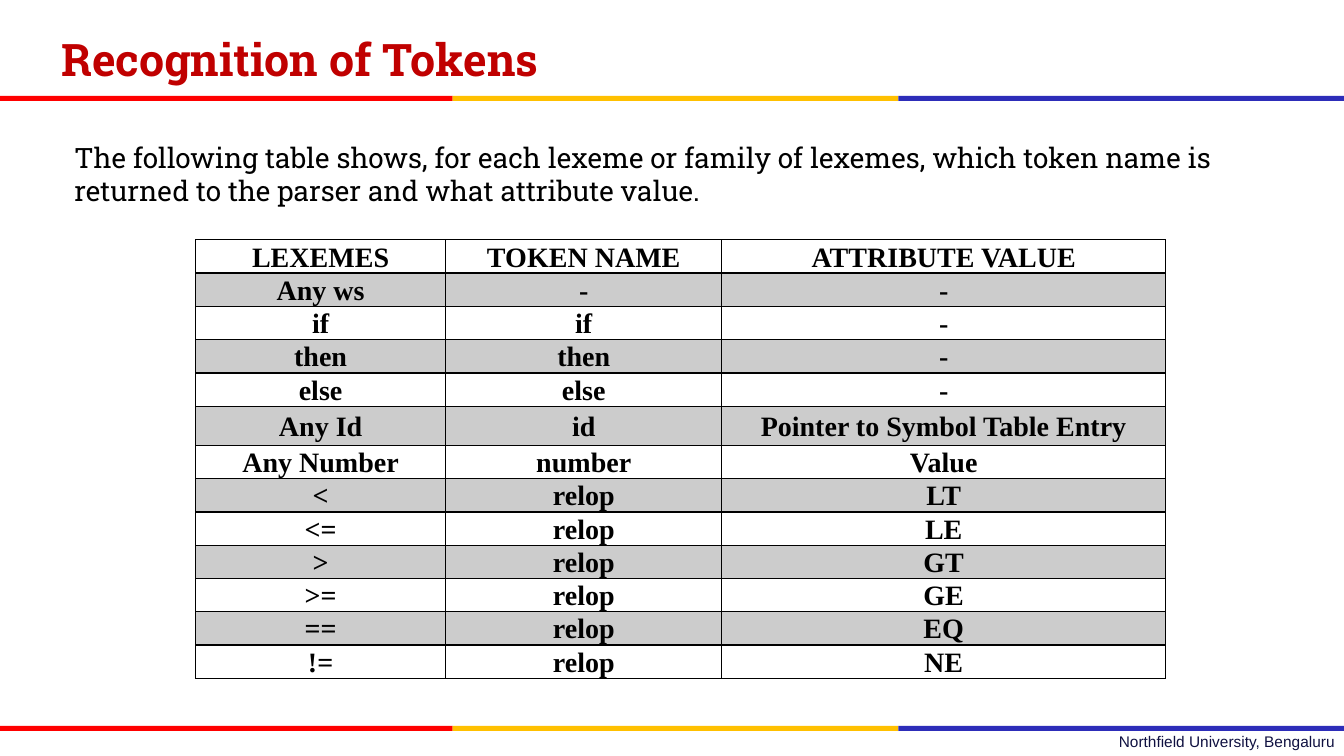
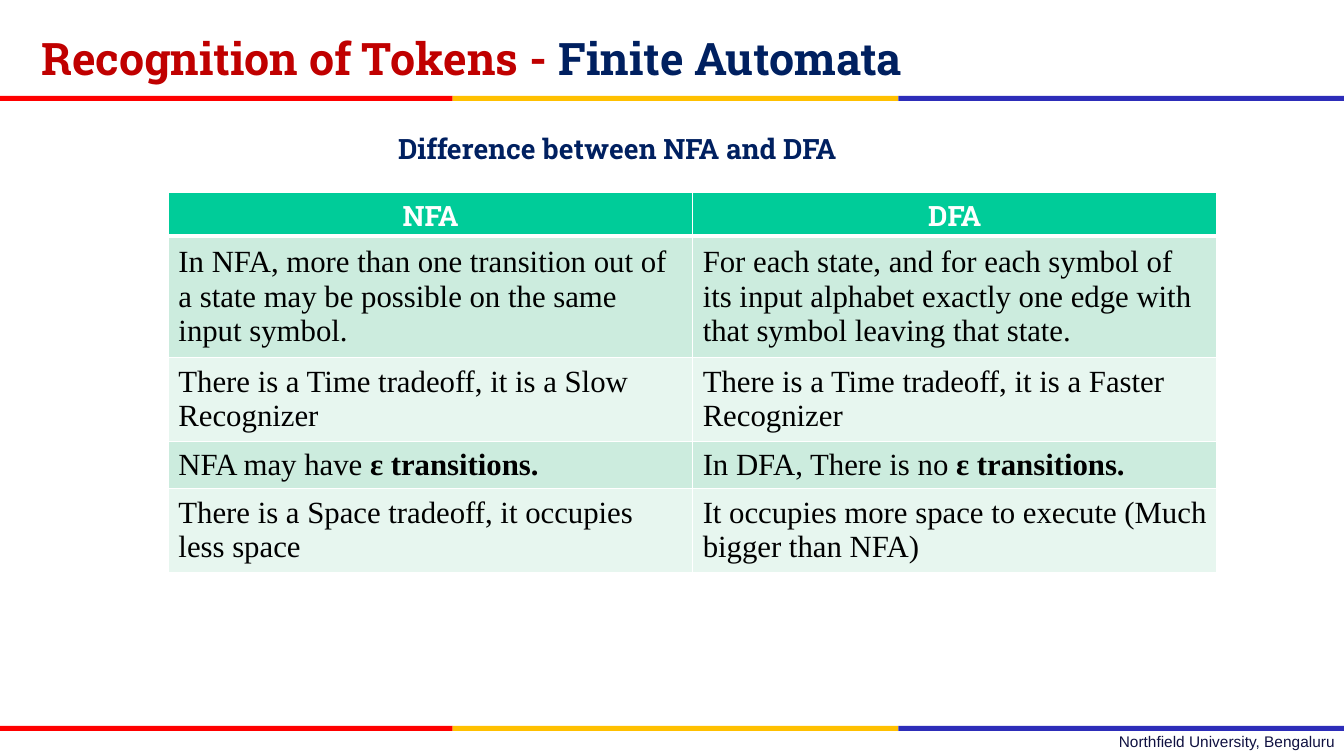
import dataclasses

import lxml.etree
import pptx
import pptx.dml.color
import pptx.enum.shapes
import pptx.enum.text
import pptx.oxml.ns
import pptx.util

Inches = pptx.util.Inches
Align = pptx.enum.text.PP_ALIGN
Anchor = pptx.enum.text.MSO_ANCHOR


@dataclasses.dataclass(frozen=True)
class Style:
    font: str
    size: int
    color: str
    bold: bool = False


class Theme:
    slab = "Roboto Slab"
    serif = "Times New Roman"
    black, white, navy = "000000", "FFFFFF", "002060"
    bands = ("FF0000", "FFC000", "2D2DB9")
    gray = "CCCCCC"
    green, green_mid, green_pale = "00CC99", "CCECDE", "E7F6EF"
    title = Style(slab, 32, "C00000", True)
    title_topic = Style(slab, 32, navy, True)
    body = Style(slab, 20, black)
    subtitle = Style(slab, 20, navy, True)
    footer = Style("Arial", 11, "101141")
    token_cell = Style(serif, 20, black, True)
    automata_head = Style(slab, 20, white, True)
    automata_cell = Style(serif, 22, black)
    automata_strong = Style(serif, 22, black, True)


@dataclasses.dataclass(frozen=True)
class TableLook:
    head_fill: str
    band_fills: tuple
    border: str
    head_rule: int
    cell_align: Align
    margins: tuple = (0.1, 0.05)
    line_spacing: float = 1.0
    space_after: int = 0


TOKEN_LOOK = TableLook(Theme.white, (Theme.gray, Theme.white), Theme.black, 2,
                       Align.CENTER, (0.07, 0), 1.07, 8)
AUTOMATA_LOOK = TableLook(Theme.green, (Theme.green_mid, Theme.green_pale),
                          Theme.white, 3, Align.LEFT)

TOKEN_ROWS = [
    ("LEXEMES", "TOKEN NAME", "ATTRIBUTE VALUE"),
    ("Any ws", "-", "-"),
    ("if", "if", "-"),
    ("then", "then", "-"),
    ("else", "else", "-"),
    ("Any Id", "id", "Pointer to Symbol Table Entry"),
    ("Any Number", "number", "Value"),
    ("<", "relop", "LT"),
    ("<=", "relop", "LE"),
    (">", "relop", "GT"),
    (">=", "relop", "GE"),
    ("==", "relop", "EQ"),
    ("!=", "relop", "NE"),
]

AUTOMATA_HEAD = ("NFA", "DFA")
AUTOMATA_ROWS = [
    (("In NFA, more than one transition out of a state may be possible on the same input symbol.",),
     ("For each state, and for each symbol of its input alphabet exactly one edge with that symbol leaving that state.",)),
    (("There is a Time tradeoff, it is a Slow Recognizer",),
     ("There is a Time tradeoff, it is a Faster Recognizer",)),
    (("NFA may have ", "ε transitions."),
     ("In DFA, There is no ", "ε transitions.")),
    (("There is a Space tradeoff, it occupies less space",),
     ("It occupies more space to execute (Much bigger than NFA)",)),
]


def rgb(color):
    return pptx.dml.color.RGBColor.from_string(color)


def place(box, left, top, width, height):
    box.left, box.top = Inches(left), Inches(top)
    box.width, box.height = Inches(width), Inches(height)


def write(frame, spans, align=Align.LEFT, space_after=0, line_spacing=1.0):
    para = frame.paragraphs[0]
    para.alignment = align
    para.space_before = pptx.util.Pt(0)
    para.space_after = pptx.util.Pt(space_after)
    para.line_spacing = line_spacing
    for text, style in spans:
        span = para.add_run()
        span.text = text
        span.font.name = style.font
        span.font.size = pptx.util.Pt(style.size)
        span.font.bold = style.bold
        span.font.color.rgb = rgb(style.color)


def add_text(page, at, spans, align=Align.LEFT, space_after=0):
    box = page.shapes.add_textbox(*map(Inches, at))
    box.text_frame.word_wrap = True
    write(box.text_frame, spans, align, space_after)
    return box


def add_bands(page, top):
    edges = (0, 4.49, 8.91, 13.33)
    bands = []
    for left, right, color in zip(edges, edges[1:], Theme.bands):
        band = page.shapes.add_shape(
            pptx.enum.shapes.MSO_SHAPE.RECTANGLE,
            Inches(left), Inches(top), Inches(right - left), Inches(0.05))
        band.shadow.inherit = False
        band.fill.solid()
        band.fill.fore_color.rgb = rgb(color)
        band.line.fill.background()
        bands.append(band)
    return bands


def furnish_layout(page):
    footer = add_text(page, (4.78, 7.21, 8.56, 0.29),
                      [("Northfield University, Bengaluru", Theme.footer)], Align.RIGHT)
    furniture = [footer, *add_bands(page, 0.95), *add_bands(page, 7.2)]
    for number, shape in enumerate(furniture, 100):
        shape.element.xpath(".//p:cNvPr")[0].set("id", str(number))
        page.slide_layout.shapes.element.append(shape.element)


def add_page(deck, title_at, title_spans):
    page = deck.slides.add_slide(deck.slide_layouts[5])
    title = page.shapes.title
    place(title, *title_at)
    frame = title.text_frame
    frame.word_wrap = True
    frame.auto_size = pptx.enum.text.MSO_AUTO_SIZE.NONE
    frame.vertical_anchor = Anchor.TOP
    write(frame, title_spans)
    return page


def set_borders(cell, color, top, bottom):
    properties = cell._tc.get_or_add_tcPr()
    name = pptx.oxml.ns.qn
    widths = {"a:lnL": 1, "a:lnR": 1, "a:lnT": top, "a:lnB": bottom}
    for position, (side, width) in enumerate(widths.items()):
        line = lxml.etree.Element(name(side), w=str(pptx.util.Pt(width)))
        fill = lxml.etree.SubElement(line, name("a:solidFill"))
        lxml.etree.SubElement(fill, name("a:srgbClr"), val=color)
        properties.insert(position, line)


def add_table(page, left, top, columns, heights, rows, look):
    table = page.shapes.add_table(
        len(rows), len(columns), Inches(left), Inches(top),
        Inches(sum(columns)), Inches(sum(heights))).table
    table.first_row = table.horz_banding = False
    for column, width in zip(table.columns, columns):
        column.width = Inches(width)
    side, edge = map(Inches, look.margins)
    for index, (row, height) in enumerate(zip(rows, heights)):
        table.rows[index].height = Inches(height)
        head = index == 0
        color = look.head_fill if head else look.band_fills[(index - 1) % 2]
        for cell, spans in zip(table.rows[index].cells, row):
            cell.margin_left = cell.margin_right = side
            cell.margin_top = cell.margin_bottom = edge
            cell.vertical_anchor = Anchor.MIDDLE
            cell.fill.solid()
            cell.fill.fore_color.rgb = rgb(color)
            set_borders(cell, look.border,
                        look.head_rule if index == 1 else 1,
                        look.head_rule if head else 1)
            write(cell.text_frame, spans,
                  Align.CENTER if head else look.cell_align,
                  look.space_after, look.line_spacing)


def build_tokens(deck):
    page = add_page(deck, (0.51, 0.26, 5.66, 0.58),
                    [("Recognition of Tokens", Theme.title)])
    rows = [[[(text, Theme.token_cell)] for text in row] for row in TOKEN_ROWS]
    heights = [0.39 if row[0] == "Any Id" else 0.29 for row in TOKEN_ROWS]
    add_table(page, 1.94, 2.38, (2.48, 2.74, 4.4), heights, rows, TOKEN_LOOK)
    add_text(page, (0.64, 1.34, 11.82, 0.77), [(
        "The following table shows, for each lexeme or family of lexemes, which token name is "
        "returned to the parser and what attribute value.", Theme.body)])
    return page


def build_automata(deck):
    page = add_page(deck, (0.31, 0.25, 9.86, 0.58),
                    [("Recognition of Tokens - ", Theme.title),
                     ("Finite Automata", Theme.title_topic)])
    add_text(page, (3.85, 1.26, 5.24, 0.44),
             [("Difference between NFA and DFA", Theme.subtitle)], Align.JUSTIFY, 6)
    styles = (Theme.automata_cell, Theme.automata_strong)
    rows = [[[(text, Theme.automata_head)] for text in AUTOMATA_HEAD]]
    rows += [[list(zip(texts, styles)) for texts in row] for row in AUTOMATA_ROWS]
    add_table(page, 1.67, 1.91, (5.2, 5.2), [0.41] * len(rows), rows, AUTOMATA_LOOK)


def main():
    deck = pptx.Presentation()
    deck.slide_width, deck.slide_height = Inches(13.33), Inches(7.5)
    furnish_layout(build_tokens(deck))
    build_automata(deck)
    deck.save("out.pptx")


if __name__ == "__main__":
    main()
